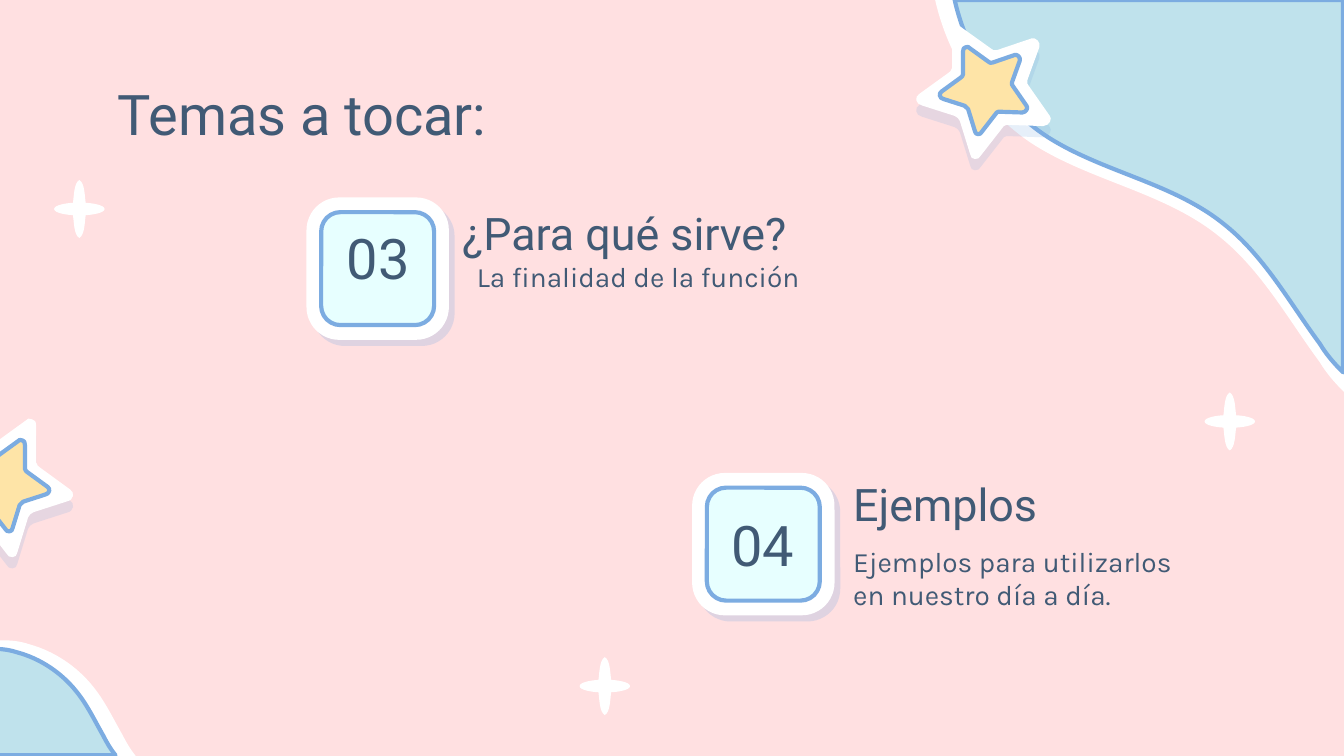
from lxml import etree
from pptx import Presentation
from pptx.dml.color import RGBColor
from pptx.enum.shapes import MSO_SHAPE
from pptx.enum.text import MSO_ANCHOR, PP_ALIGN
from pptx.oxml.ns import qn
from pptx.util import Pt

ROUND = MSO_SHAPE.ROUNDED_RECTANGLE
TOP, MID = MSO_ANCHOR.TOP, MSO_ANCHOR.MIDDLE
LEFT, CENTER = PP_ALIGN.LEFT, PP_ALIGN.CENTER

HUES = {"pink": "FFE0E1", "white": "FFFFFF", "sky": "BFE2EC", "blue": "7CACE1",
        "gold": "FEE4A7", "ice": "E7FFFF", "ink": "415A75"}

# Text: words, (left, top, width, height), format
TEXTS = [
    ("Temas a tocar:", (56, 35.3, 608, 45), dict(size=30)),
    ("03", (168.5, 136, 68.4, 3.6), dict(size=30, align=CENTER, anchor=MID)),
    ("04", (374.4, 272.9, 68.4, 36.7), dict(size=30, align=CENTER, anchor=MID)),
    ("La finalidad de la función", (248.4, 131.8, 201.6, 48),
     dict(size=15, font="Karla")),
    ("Ejemplos para utilizarlos en nuestro día a día.", (450, 284.4, 200, 48),
     dict(size=15, font="Karla")),
    ("¿Para qué sirve?", (240.5, 108, 224.6, 33), dict(size=24, anchor=MID)),
    ("Ejemplos", (450, 253.4, 201.6, 33), dict(size=24, anchor=MID)),
]
TILES = [(164.2, 105.8), (370.8, 253.4)]

# Outlines around an origin: 2 numbers are a line, 6 are a Bezier curve
HILL = [(-5.8, 0), (-13, -9.4, -17.3, -15.8, -20.2, -22.3),
        (-23, -29.5, -24.5, -37.4, -22.3, -44.6),
        (-19.4, -52.6, -13.7, -58.3, -6.5, -60.5),
        (-3.6, -61.9, -0.7, -61.9, 2.9, -61.9),
        (7.2, -61.9, 11.5, -61.2, 15.8, -59.8),
        (28.8, -56.2, 41, -48.2, 49.7, -37.4),
        (56.2, -29.5, 60.5, -20.2, 65.5, -11.5),
        (67.7, -7.2, 69.8, -3.6, 72.7, 0)]
CLOUD = [(-219, 0), (-212, 31, -193, 60, -167, 77),
         (-136, 97, -96.5, 103, -67.7, 126), (-44.6, 144, -30, 171, -13, 194),
         (-9.4, 200, -5, 205, 0, 210), (0, 0)]
STAR = [(14.8, -36.7), (13.3, -37.4, 11.9, -37.4, 11.2, -36), (-4.7, -24.5),
        (-5.4, -23.8, -6.8, -23, -8.3, -23.8), (-27, -30.2),
        (-29.2, -31, -32.4, -28.1, -31.3, -25.2), (-24.8, -7.2),
        (-24.1, -5.8, -24.8, -4.3, -25.6, -3.6), (-37.1, 13),
        (-38.5, 14.4, -37.1, 18.5, -33.5, 18.7), (-13.3, 18),
        (-11.9, 18.7, -11.2, 18.7, -11.2, 19.4), (1.1, 35.3),
        (1.8, 37.8, 6.8, 37.8, 6.8, 34.6), (12.6, 15.8),
        (13.3, 14.4, 14, 13.7, 15.5, 13), (33.5, 7.2),
        (37.1, 6.5, 37.8, 2.2, 34.9, 0.7), (19.1, -10.8),
        (17.6, -11.5, 17.6, -12.2, 16.9, -13.7), (16.9, -33.1),
        (16.9, -35.3, 16.2, -36.7, 14.8, -36.7)]
SPARK = [(0, -15.5), (-2.9, -14, -2.9, -6.8, -3.4, -3.3),
         (-6.5, -3.2, -13.5, -2.2, -13.5, 0), (-13.5, 2.2, -6.5, 3.2, -3.4, 3.3),
         (-2.9, 6.8, -2.9, 14, 0, 15.5), (2.9, 14, 2.9, 6.8, 3.4, 3.3),
         (6.5, 3.2, 13.5, 2.2, 13.5, 0), (13.5, -2.2, 6.5, -3.2, 3.4, -3.3),
         (2.9, -6.8, 2.9, -14, 0, -15.5)]

# Outline, origin, x scale, y scale, fill, line, shadow
SHADE = dict(alpha=19, dist=6, angle=90)
ART = [
    (HILL, (0, 405), 1, 1, "white", None, None),
    (HILL, (-5, 404.6), 0.92, 0.92, "sky", "blue", None),
    (CLOUD, (720, 0), 1, 1, "white", None, None),
    (CLOUD, (719.5, 0), 0.95, 0.95, "sky", "blue", None),
    (STAR, (2.5, 261.4), 1, 1, "white", None, SHADE),
    (STAR, (2.2, 260.2), 0.66, 0.66, "gold", "blue", None),
    (STAR, (526.4, 49.6), -0.97, 0.96, "white", None, SHADE),
    (STAR, (526.6, 48.5), -0.63, 0.63, "gold", "blue", None),
]
ART += [(SPARK, spot, 1, 1, "white", None, None)
        for spot in [(42.5, 112), (324, 367.6), (658.8, 225.8)]]

deck = Presentation()
deck.slide_width, deck.slide_height = Pt(720), Pt(405)
slide = deck.slides.add_slide(deck.slide_layouts[6])


def hue(name):
    return RGBColor.from_string(HUES[name])


def style(shape, fill, line=None, shade=None):
    shape.shadow.inherit = False
    shape.fill.solid()
    shape.fill.fore_color.rgb = hue(fill)
    if line:
        shape.line.color.rgb = hue(line)
        shape.line.width = Pt(2.25)
    else:
        shape.line.fill.background()
    if shade:
        box = shape._element.spPr.find(qn("a:effectLst"))
        drop = etree.SubElement(box, qn("a:outerShdw"), blurRad="0", rotWithShape="0",
                                algn="bl", dist=str(Pt(shade["dist"])),
                                dir=str(shade["angle"] * 60000))
        tint = etree.SubElement(drop, qn("a:srgbClr"), val=HUES["blue"])
        etree.SubElement(tint, qn("a:alpha"), val=str(shade["alpha"] * 1000))


def bend(shape, parts):
    """Join each three line ends that belong to a curve into one Bezier."""
    ends = iter(list(shape._element.iter(qn("a:lnTo"))))
    for part in parts:
        node = next(ends)
        if len(part) == 6:
            curve = etree.Element(qn("a:cubicBezTo"))
            node.addprevious(curve)
            for end in (node, next(ends), next(ends)):
                curve.append(end[0])
                end.getparent().remove(end)


def draw(form, spot, wide, high, fill, line, shade):
    dots = [(Pt(spot[0] + wide * x), Pt(spot[1] + high * y))
            for part in form for x, y in zip(part[::2], part[1::2])]
    pen = slide.shapes.build_freeform(*dots[0])
    pen.add_line_segments(dots[1:], close=True)
    shape = pen.convert_to_shape()
    bend(shape, form[1:])
    style(shape, fill, line, shade)


def tile(x, y, side, curve, *look):
    shape = slide.shapes.add_shape(ROUND, Pt(x), Pt(y), Pt(side), Pt(side))
    shape.adjustments[0] = curve
    style(shape, *look)


def write(text, area, size, font="Roboto", align=LEFT, anchor=TOP):
    frame = slide.shapes.add_textbox(*map(Pt, area)).text_frame
    frame.word_wrap = True
    frame.vertical_anchor = anchor
    frame.margin_left = frame.margin_right = Pt(7.2)
    frame.margin_top = frame.margin_bottom = Pt(7.2)
    para = frame.paragraphs[0]
    para.alignment = align
    run = para.add_run()
    run.text = text
    run.font.size, run.font.name = Pt(size), font
    run.font.color.rgb = hue("ink")


# Background and ornaments
slide.background.fill.solid()
slide.background.fill.fore_color.rgb = hue("pink")
for item in ART:
    draw(*item)

# Number tiles
for x, y in TILES:
    tile(x, y, 76.3, 0.23, "white", None, dict(alpha=24, dist=4.5, angle=47))
    tile(x + 7.9, y + 7.9, 60.5, 0.17, "ice", "blue")

# Text
for words, area, form in TEXTS:
    write(words, area, **form)

deck.save("out.pptx")
